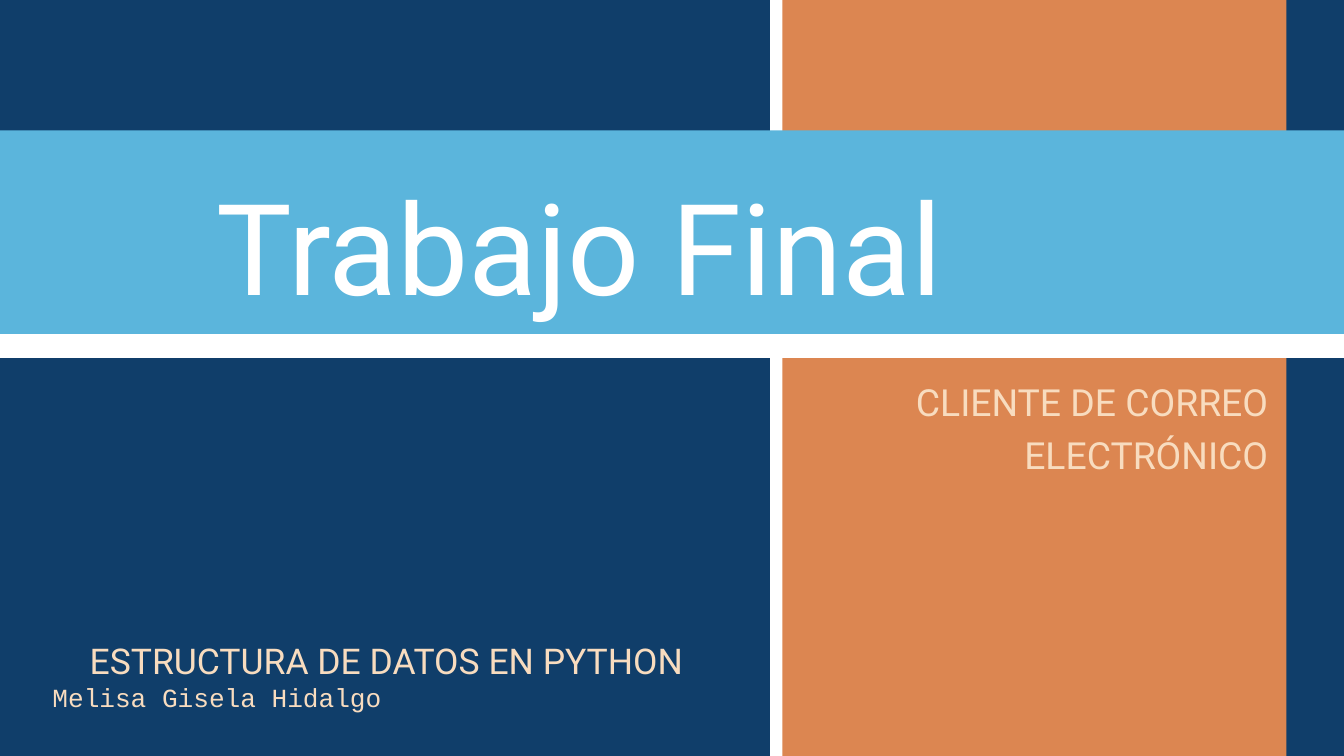
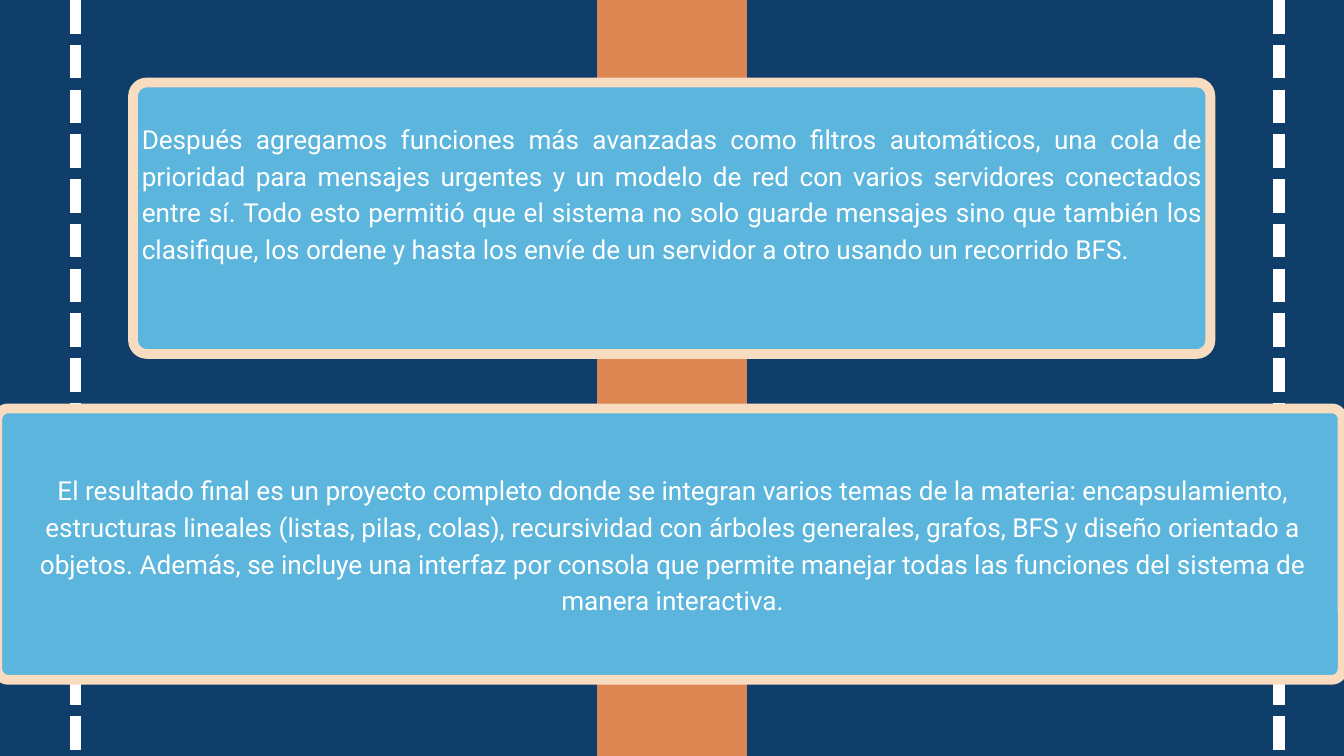
from collections import namedtuple

from lxml import etree
from pptx import Presentation
from pptx.dml.color import RGBColor
from pptx.enum.dml import MSO_LINE
from pptx.enum.shapes import MSO_CONNECTOR, MSO_SHAPE
from pptx.enum.text import MSO_AUTO_SIZE, PP_ALIGN
from pptx.oxml.ns import qn
from pptx.util import Cm, Pt

STRAIGHT = MSO_CONNECTOR.STRAIGHT
RECTANGLE = MSO_SHAPE.RECTANGLE
ROUNDED = MSO_SHAPE.ROUNDED_RECTANGLE
SQUARE_DOTS = MSO_LINE.SQUARE_DOT
FIT_SHAPE = MSO_AUTO_SIZE.SHAPE_TO_FIT_TEXT
CENTER, RIGHT, JUSTIFY = PP_ALIGN.CENTER, PP_ALIGN.RIGHT, PP_ALIGN.JUSTIFY

COLORS = {
    "navy": "103E6A",
    "orange": "DC8651",
    "sky": "5BB5DC",
    "cream": "F8DCBF",
    "white": "FFFFFF",
}
LINE_FACTOR = 1.4
RULE_WIDTH = 26.25

# All box values are centimetres.
Box = namedtuple("Box", "left top width height")
PAGE = Box(0, 0, 50.8, 28.58)

TITLE = {"name": "Roboto", "size": Pt(136), "color": "white"}
SUBTITLE = {"name": "Roboto", "size": Pt(40), "color": "cream"}
COURSE = {"name": "Roboto", "size": Pt(38), "color": "cream"}
AUTHOR = {"name": "Courier New", "size": Pt(28), "color": "cream"}
BODY = {"name": "Roboto", "size": Pt(28), "color": "white"}


def rgb(color):
    return RGBColor.from_string(COLORS[color])


def inside(box, left, top, width, height):
    """Return a box whose corner is measured from the corner of another."""
    return Box(box.left + left, box.top + top, width, height)


def add_block(slide, box, color, kind=RECTANGLE):
    shape = slide.shapes.add_shape(kind, *map(Cm, box))
    shape.shadow.inherit = False
    shape.fill.solid()
    shape.fill.fore_color.rgb = rgb(color)
    shape.line.fill.background()
    return shape


def add_rule(slide, start, end, width, dash=None):
    rule = slide.shapes.add_connector(STRAIGHT, *map(Cm, start + end))
    rule.line.color.rgb = rgb("white")
    rule.line.width = Pt(width)
    if dash:
        rule.line.dash_style = dash
    etree.SubElement(rule._element.spPr, qn("a:effectLst"))


def add_text(slide, box, text, style, alignment):
    frame = slide.shapes.add_textbox(*map(Cm, box)).text_frame
    settings = {"word_wrap": True, "auto_size": FIT_SHAPE, "margin_left": 0,
                "margin_top": 0, "margin_right": 0, "margin_bottom": 0}
    for name, value in settings.items():
        setattr(frame, name, value)
    paragraph = frame.paragraphs[0]
    paragraph.alignment = alignment
    paragraph.line_spacing = Pt(style["size"].pt * LINE_FACTOR)
    run = paragraph.add_run()
    run.text = text
    for name, value in style.items():
        if name == "color":
            run.font.color.rgb = rgb(value)
        else:
            setattr(run.font, name, value)


def add_slide(presentation):
    slide = presentation.slides.add_slide(presentation.slide_layouts[6])
    slide.background.fill.solid()
    slide.background.fill.fore_color.rgb = rgb("navy")
    return slide


def add_side_column(slide, box):
    """Orange column with a white rule along its left edge."""
    bottom = box.top + box.height
    add_rule(slide, (box.left, bottom), (box.left, box.top), RULE_WIDTH)
    add_block(slide, box, "orange")


def add_title_band(slide, box):
    """Sky band with the title and a white rule along its bottom edge."""
    bottom = box.top + box.height
    add_block(slide, box, "sky")
    add_text(slide, inside(box, 8.2, 0.48, 34.39, 6.48), "Trabajo Final", TITLE, JUSTIFY)
    add_rule(slide, (box.left + PAGE.width, bottom), (box.left, bottom), RULE_WIDTH)


def add_credits(slide, box):
    add_text(slide, inside(box, 1.11, 1.68, 12.7, 1.32), "Melisa Gisela Hidalgo", AUTHOR, CENTER)
    add_text(slide, box, "ESTRUCTURA DE DATOS EN PYTHON", COURSE, CENTER)


def build_cover(presentation):
    slide = add_slide(presentation)
    column = inside(PAGE, 29.57, 0, 19.05, PAGE.height)
    add_side_column(slide, column)
    add_title_band(slide, inside(PAGE, 0, 4.93, 51.49, 8.15))
    add_text(slide, inside(column, 0, 14.07, 18.36, 3.84),
             "CLIENTE DE CORREO ELECTRÓNICO", SUBTITLE, RIGHT)
    add_credits(slide, inside(PAGE, 0.74, 23.9, 27.74, 1.83))


def add_backdrop(slide, box, column_width=5.66):
    """Centred orange column between two dotted rules."""
    column_left = (box.width - column_width) / 2
    add_block(slide, inside(box, column_left, 0, column_width, box.height), "orange")
    for offset in (48.34, 2.84):
        x = box.left + offset
        add_rule(slide, (x, box.top), (x, box.top + box.height), 12, SQUARE_DOTS)


def add_panel(slide, box, corner, text_box, text, alignment):
    """Framed panel; text_box is measured from the panel's corner."""
    panel = add_block(slide, box, "sky", ROUNDED)
    panel.adjustments[0] = corner
    panel.line.color.rgb = rgb("cream")
    panel.line.width = Pt(10.5)
    add_text(slide, inside(box, *text_box), text, BODY, alignment)


def build_summary(presentation):
    slide = add_slide(presentation)
    add_backdrop(slide, PAGE)
    add_panel(
        slide, inside(PAGE, -0.1, 15.44, 50.85, 10.26), 0.04, Box(0.51, 2.31, 50.01, 5.49),
        "El resultado final es un proyecto completo donde se integran varios temas de la "
        "materia: encapsulamiento, estructuras lineales (listas, pilas, colas), recursividad "
        "con árboles generales, grafos, BFS y diseño orientado a objetos. Además, se incluye "
        "una interfaz por consola que permite manejar todas las funciones del sistema de "
        "manera interactiva.",
        CENTER)
    add_panel(
        slide, inside(PAGE, 5.03, 3.12, 40.72, 10.26), 0.05, Box(0.33, 1.35, 40.06, 6.86),
        "Después agregamos funciones más avanzadas como filtros automáticos, una cola de "
        "prioridad para mensajes urgentes y un modelo de red con varios servidores conectados "
        "entre sí. Todo esto permitió que el sistema no solo guarde mensajes sino que también "
        "los clasifique, los ordene y hasta los envíe de un servidor a otro usando un "
        "recorrido BFS.",
        JUSTIFY)


def main():
    presentation = Presentation()
    presentation.slide_width = Cm(PAGE.width)
    presentation.slide_height = Cm(PAGE.height)
    build_cover(presentation)
    build_summary(presentation)
    presentation.save("out.pptx")


if __name__ == "__main__":
    main()
